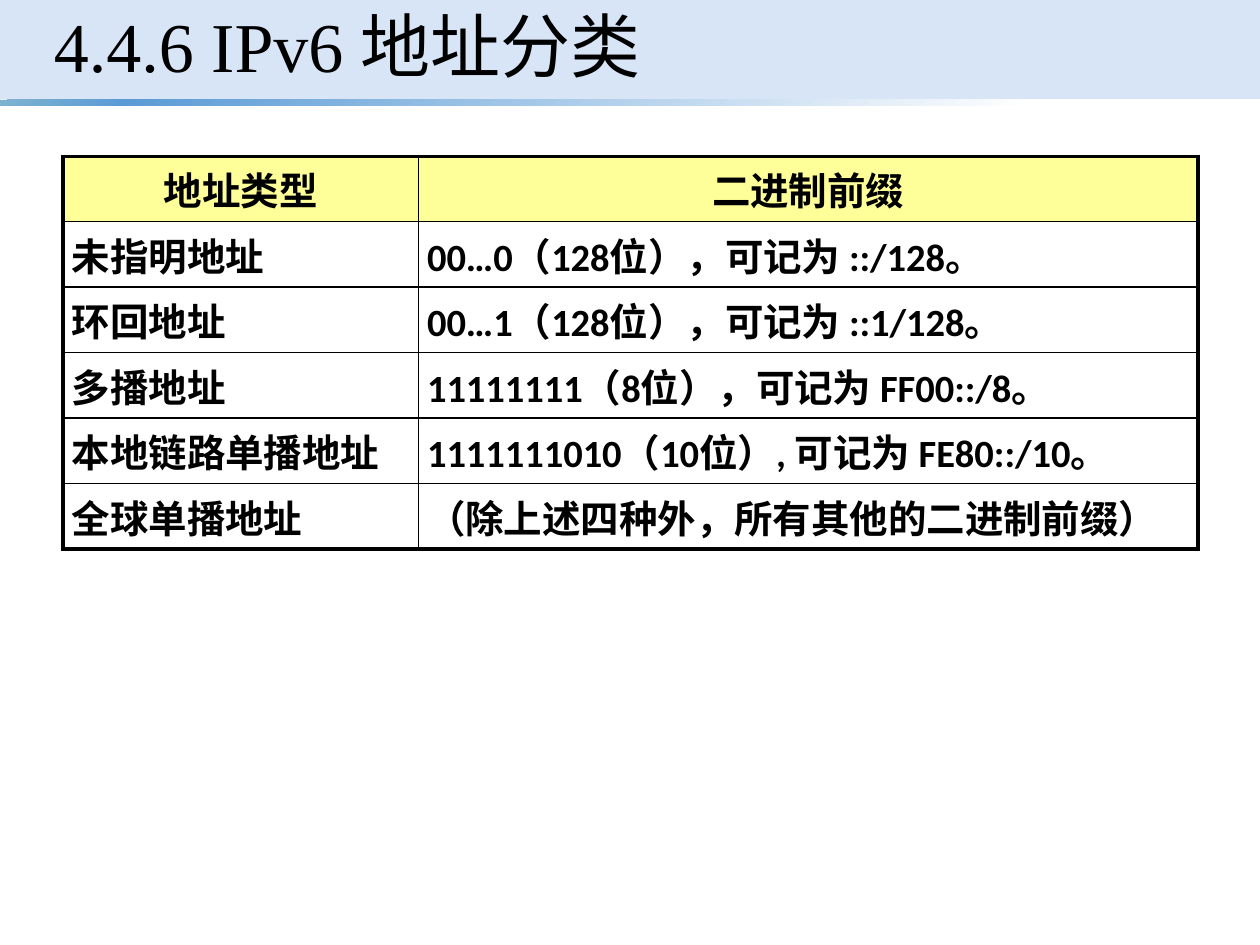
from lxml import etree
from pptx import Presentation
from pptx.dml.color import RGBColor
from pptx.enum.shapes import MSO_SHAPE
from pptx.enum.text import MSO_ANCHOR, PP_ALIGN
from pptx.oxml import parse_xml
from pptx.oxml.ns import qn
from pptx.util import Inches, Pt

RECTANGLE = MSO_SHAPE.RECTANGLE
MIDDLE = MSO_ANCHOR.MIDDLE
CENTER = PP_ALIGN.CENTER
JUSTIFY = PP_ALIGN.JUSTIFY
DRAWING_NS = "http://schemas.openxmlformats.org/drawingml/2006/main"

BLACK = "000000"
HEADER_YELLOW = "FFFF99"
BAND_BLUE = "C8DAF4"
RULE_STOPS = [(0, "7EB3D0"), (10, "5B9BD5"), (82, "FFFFFF"), (96, "FFFFFF")]
COLUMN_WIDTHS = [2.82, 6.19]
ROW_HEIGHT = 0.52
OUTER_LINE, INNER_LINE = 2.25, 1

ADDRESS_TYPES = [
    ("地址类型", "二进制前缀"),
    ("未指明地址", "00…0（128位），可记为 ::/128。"),
    ("环回地址", "00…1（128位），可记为 ::1/128。"),
    ("多播地址", "11111111（8位），可记为 FF00::/8。"),
    ("本地链路单播地址", "1111111010（10位）, 可记为 FE80::/10。"),
    ("全球单播地址", "（除上述四种外，所有其他的二进制前缀）"),
]


def color(hex_value):
    """Turn a hex string into a colour."""
    return RGBColor.from_string(hex_value)


def style_font(font, name, size, bold=False):
    """Set a black font."""
    font.name = name
    font.size = Pt(size)
    font.bold = bold
    font.color.rgb = color(BLACK)


def add_band(slide, top, height):
    """Add a full-width rectangle without outline."""
    band = slide.shapes.add_shape(RECTANGLE, 0, Inches(top), Inches(10), Inches(height))
    band.shadow.inherit = False
    band.line.fill.background()
    return band


def add_title_band(slide):
    """Add the translucent band behind the title."""
    band = add_band(slide, 0, 0.79)
    band.fill.solid()
    band.fill.fore_color.rgb = color(BAND_BLUE)
    tint = band.fill._xPr.find(qn("a:solidFill"))[0]
    etree.SubElement(tint, qn("a:alpha"), val="70000")


def add_title_rule(slide):
    """Add the fading rule under the title band."""
    rule = add_band(slide, 0.79, 0.05)
    rule.fill.gradient()
    rule.fill.gradient_angle = 0
    gradient = rule.fill._xPr.find(qn("a:gradFill"))
    stops = "".join(
        f'<a:gs pos="{position * 1000}"><a:srgbClr val="{shade}"/></a:gs>'
        for position, shade in RULE_STOPS
    )
    stop_list = parse_xml(f'<a:gsLst xmlns:a="{DRAWING_NS}">{stops}</a:gsLst>')
    gradient.replace(gradient.find(qn("a:gsLst")), stop_list)
    gradient.find(qn("a:lin")).set("ang", "2700000")


def add_title(slide, text):
    """Add the slide title."""
    box = slide.shapes.add_textbox(Inches(0.33), 0, Inches(9.35), Inches(0.79))
    frame = box.text_frame
    frame.word_wrap = True
    frame.vertical_anchor = MIDDLE
    title = frame.paragraphs[0]
    title.text = text
    title.line_spacing = 0.9
    style_font(title.font, "Times New Roman", 40)


def set_borders(cell, widths):
    """Draw black cell borders, given a width for each side."""
    properties = cell._tc.get_or_add_tcPr()
    for index, (side, width) in enumerate(widths.items()):
        properties.insert(index, parse_xml(
            f'<a:ln{side} xmlns:a="{DRAWING_NS}" w="{Pt(width)}"><a:solidFill>'
            f'<a:srgbClr val="{BLACK}"/></a:solidFill></a:ln{side}>'
        ))


def fill_cell(cell, text, is_header):
    """Write and style one table cell."""
    cell.margin_left = cell.margin_right = Inches(0.07)
    cell.margin_top = cell.margin_bottom = 0
    cell.vertical_anchor = MIDDLE
    if is_header:
        cell.fill.solid()
        cell.fill.fore_color.rgb = color(HEADER_YELLOW)
    else:
        cell.fill.background()
    entry = cell.text_frame.paragraphs[0]
    entry.text = text
    entry.alignment = CENTER if is_header else JUSTIFY
    style_font(entry.font, "Calibri", 22, bold=True)


def add_address_table(slide, rows):
    """Add the table of address types with a heavy outer frame."""
    last_row, last_column = len(rows) - 1, len(COLUMN_WIDTHS) - 1
    table = slide.shapes.add_table(
        len(rows), len(COLUMN_WIDTHS), Inches(0.5), Inches(1.24),
        Inches(sum(COLUMN_WIDTHS)), Inches(ROW_HEIGHT * len(rows)),
    ).table
    for column, width in zip(table.columns, COLUMN_WIDTHS):
        column.width = Inches(width)
    for r, entries in enumerate(rows):
        table.rows[r].height = Inches(ROW_HEIGHT)
        for c, text in enumerate(entries):
            cell = table.cell(r, c)
            fill_cell(cell, text, r == 0)
            on_frame = {"L": c == 0, "R": c == last_column, "T": r == 0, "B": r == last_row}
            set_borders(cell, {
                side: OUTER_LINE if outer else INNER_LINE for side, outer in on_frame.items()
            })


def main():
    """Build and save the slide."""
    deck = Presentation()
    deck.slide_width, deck.slide_height = Inches(10), Inches(7.5)
    slide = deck.slides.add_slide(deck.slide_layouts[6])
    add_title_band(slide)
    add_title_rule(slide)
    add_title(slide, "4.4.6 IPv6 地址分类")
    add_address_table(slide, ADDRESS_TYPES)
    deck.save("out.pptx")


if __name__ == "__main__":
    main()
